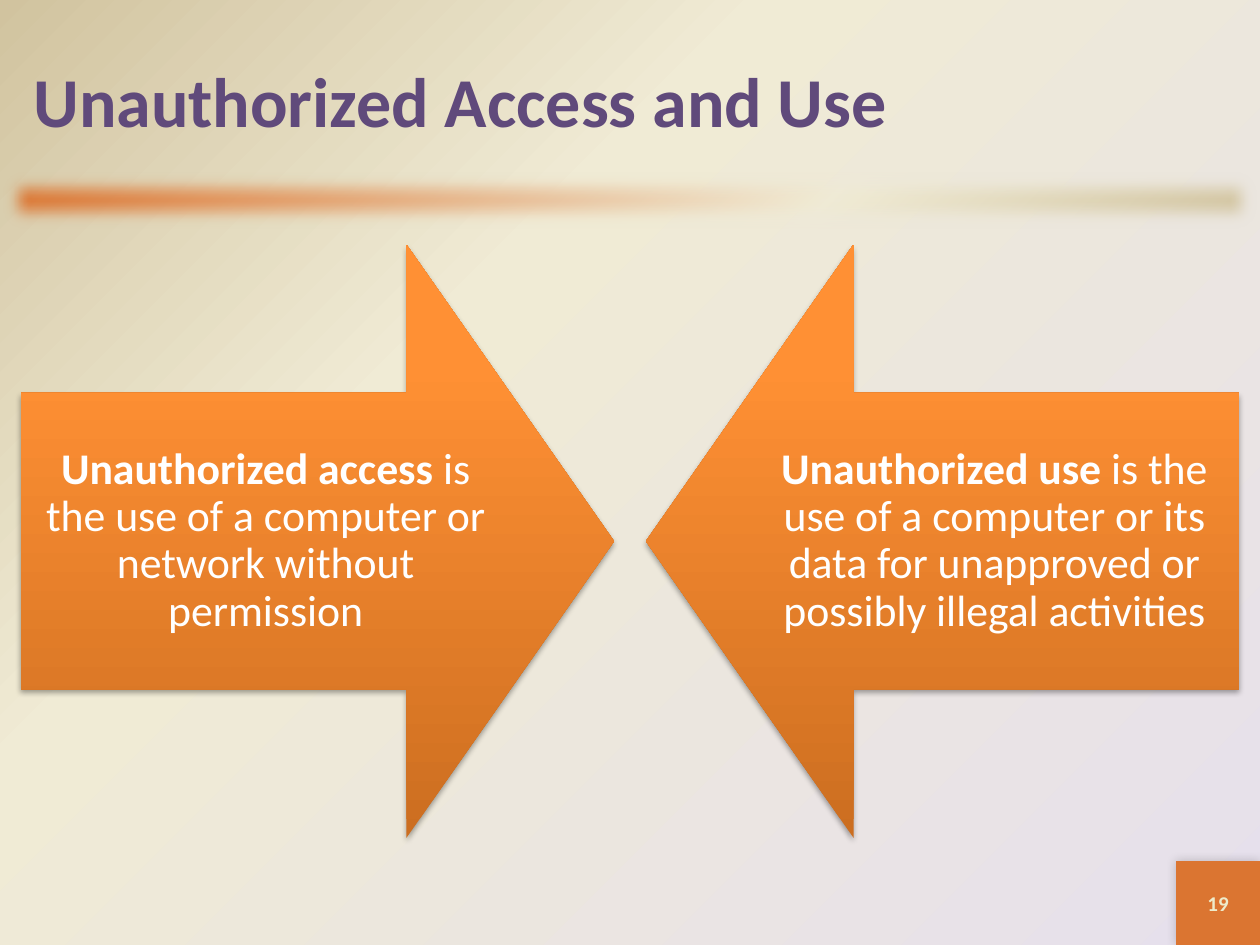
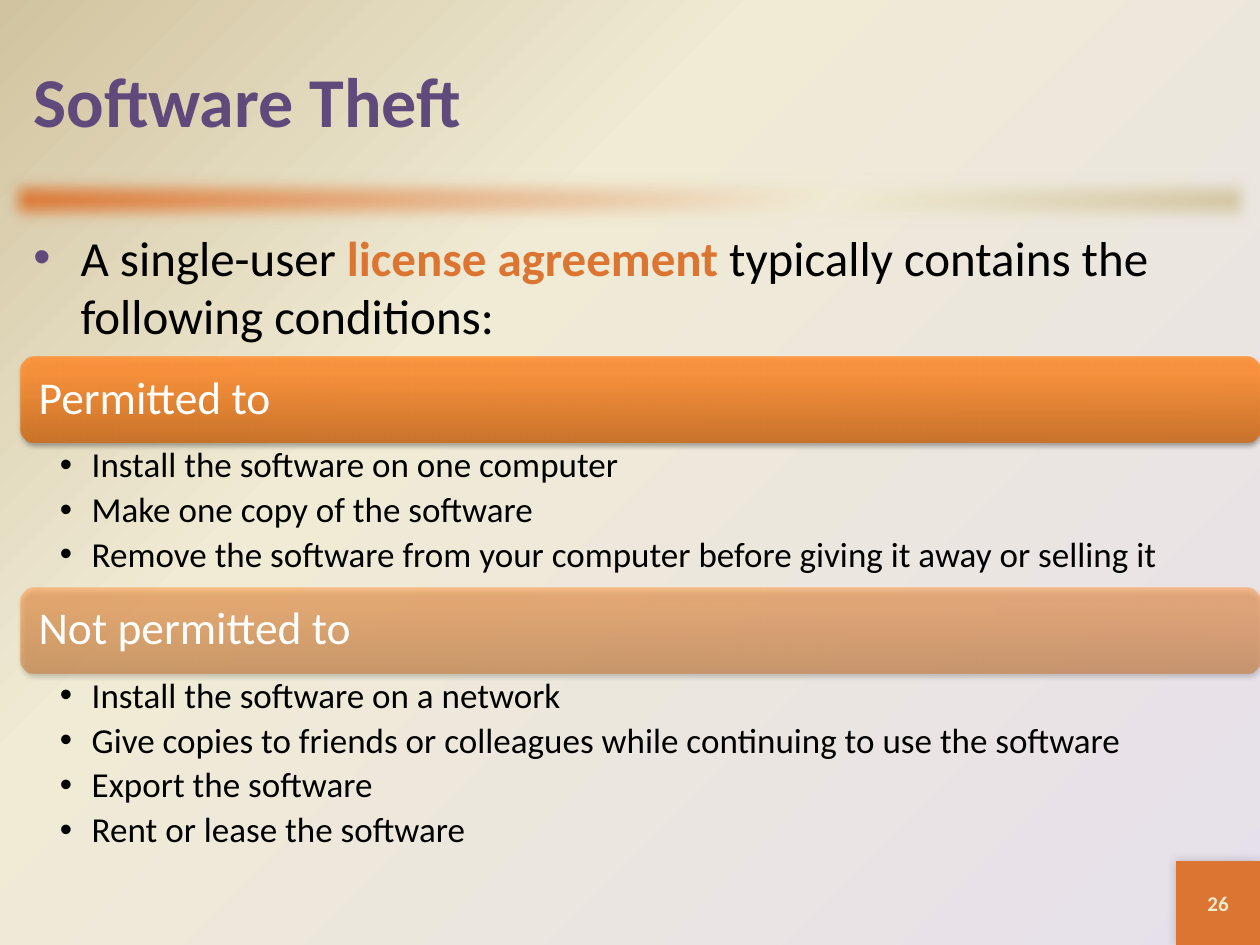
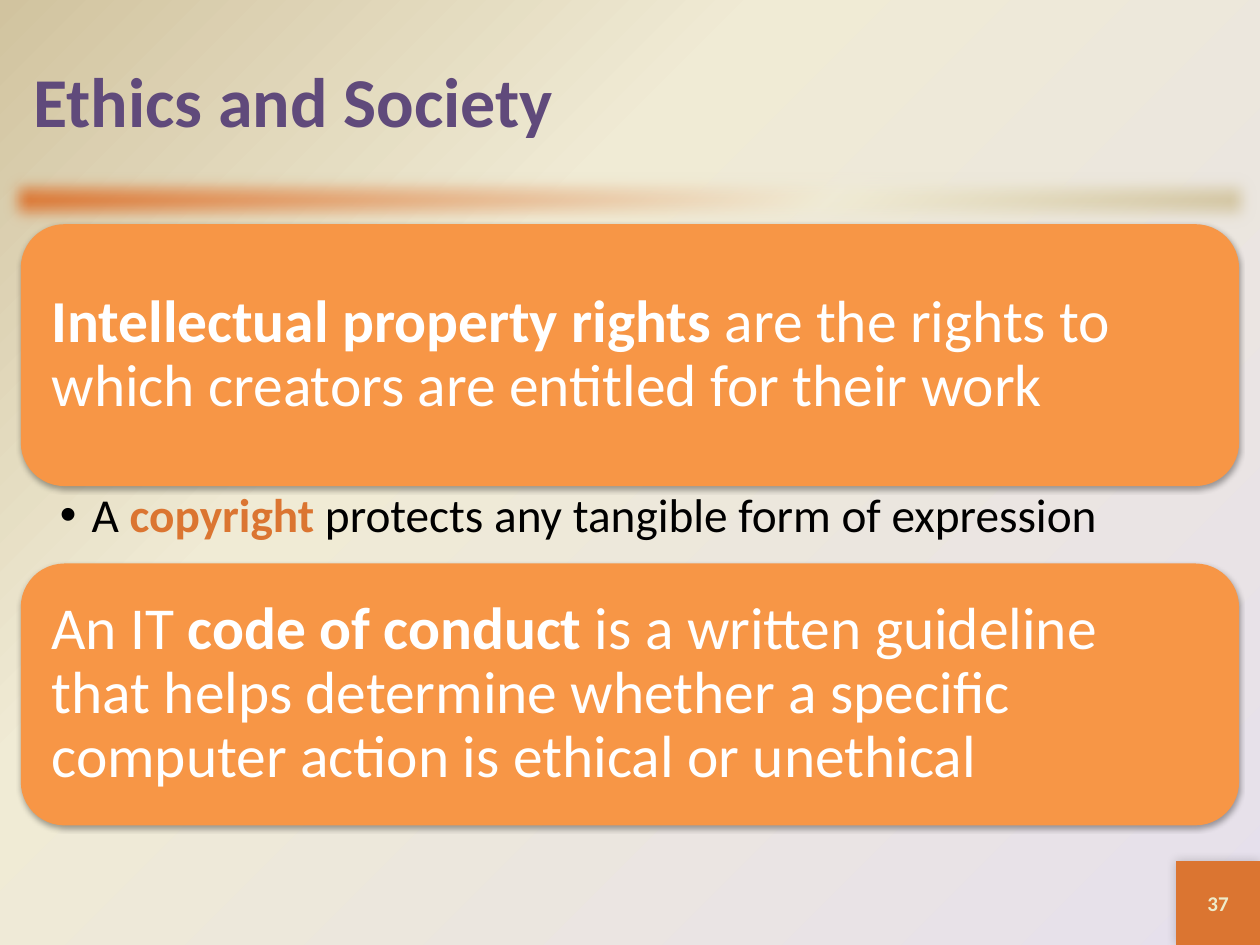
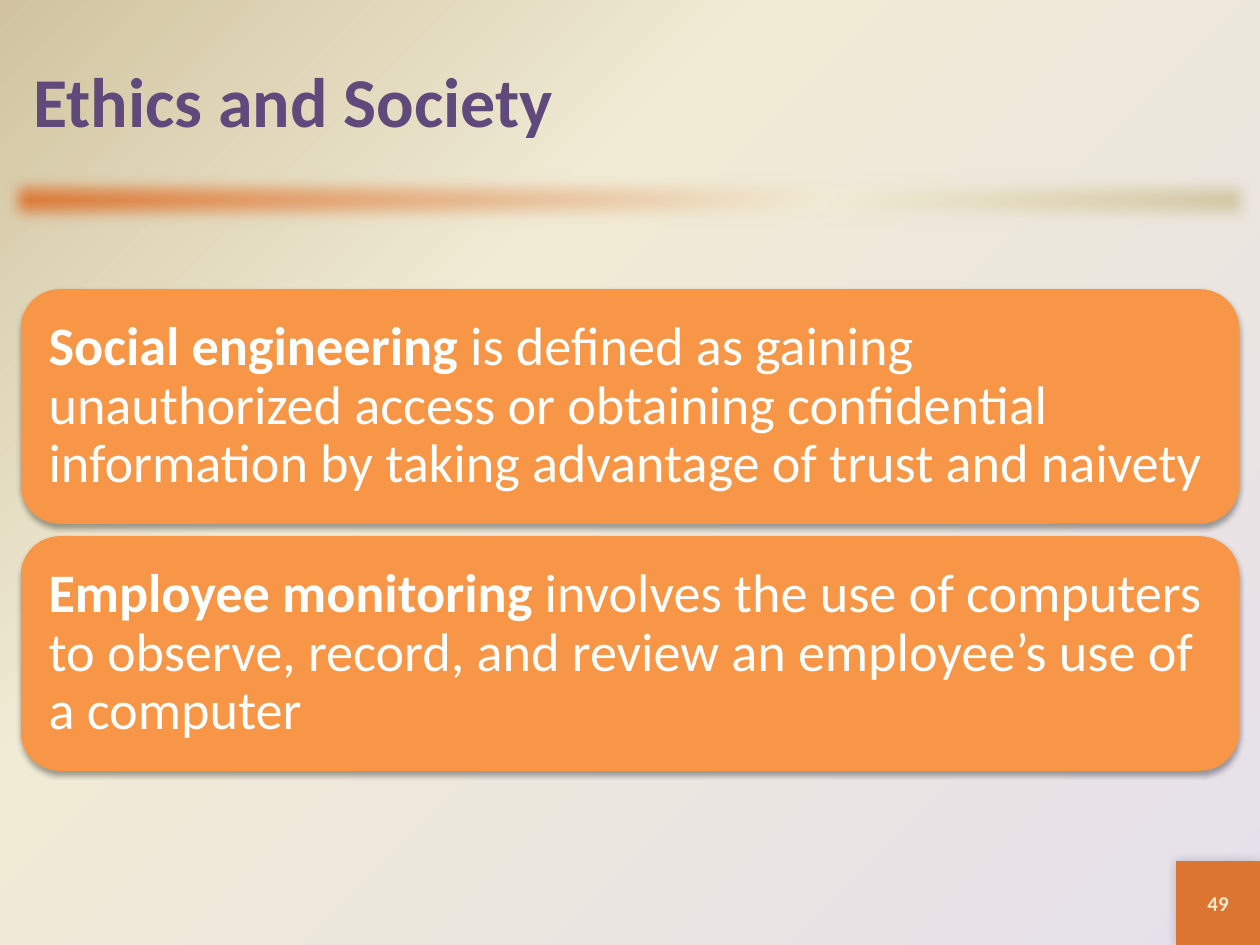
"""Build four slides on computer ethics and security."""
from dataclasses import dataclass
from typing import Any, NamedTuple

from pptx import Presentation
from pptx.dml.color import RGBColor
from pptx.dml.fill import FillFormat
from pptx.enum.shapes import MSO_SHAPE
from pptx.enum.text import MSO_ANCHOR, MSO_AUTO_SIZE, PP_ALIGN
from pptx.oxml import parse_xml
from pptx.oxml.ns import nsdecls, qn
from pptx.shapes.autoshape import Shape
from pptx.slide import Slide
from pptx.text.text import TextFrame, _Paragraph
from pptx.util import Cm, Pt

FONT = "Calibri"
PURPLE = RGBColor(0x60, 0x4A, 0x7B)
RUST = RGBColor(0xDB, 0x75, 0x31)
ORANGE = RGBColor(0xF7, 0x96, 0x46)
DEEP_ORANGE = RGBColor(0xCC, 0x6E, 0x20)
BRIGHT_ORANGE = RGBColor(0xFF, 0x90, 0x34)
TOP_ORANGE = RGBColor(0xFF, 0x91, 0x36)
LILAC = RGBColor(0xE6, 0xE0, 0xEC)
CREAM = RGBColor(0xF0, 0xEB, 0xD5)
SAND = RGBColor(0xD1, 0xC3, 0x9F)
PALE = RGBColor(0xEE, 0xEB, 0xCA)
WHITE = RGBColor(0xFF, 0xFF, 0xFF)
BLACK = RGBColor(0x00, 0x00, 0x00)

SLIDE_WIDTH, SLIDE_HEIGHT = 25.4, 19.05
EDGE = 0.42
CONTENT_WIDTH = SLIDE_WIDTH - 2 * EDGE
BADGE_SIDE = 1.69
BACKDROP_STOPS = ((0, LILAC), (65, CREAM), (100, SAND))
BAND_STOPS = ((0, RUST), (65, CREAM), (100, SAND))
GLOW_STOPS = ((0, DEEP_ORANGE), (80, BRIGHT_ORANGE), (100, TOP_ORANGE))
TO_CORNER = '<a:path path="circle"><a:fillToRect l="100000" t="100000"/></a:path>'
DIAGONAL = '<a:lin ang="2700000" scaled="0"/>'
UPWARD = '<a:lin ang="16200000" scaled="0"/>'


class Box(NamedTuple):
    """Hold a place on the slide in centimetres."""
    left: float
    top: float
    width: float
    height: float

    def lengths(self) -> list[Cm]:
        """Return the four measures as lengths."""
        return [Cm(value) for value in self]

    def inner(self, gap: float) -> "Box":
        """Return the box shrunk by a gap on every side."""
        return Box(self.left + gap, self.top + gap, self.width - 2 * gap, self.height - 2 * gap)


class Run(NamedTuple):
    """Hold a piece of text and whether it is a key term."""
    text: str
    strong: bool = False


Line = tuple[Run, ...]


@dataclass
class Panel:
    """Describe a rounded panel with one statement."""
    box: Box
    line: Line
    size: int
    gap: float
    margin: float
    opacity: int | None = None


@dataclass
class BulletList:
    """Describe the bullets that follow a panel."""
    box: Box
    lines: tuple[Line, ...]
    size: int
    side_margins: tuple[float, float]


@dataclass
class Arrow:
    """Describe a block arrow that points to the slide centre."""
    left: float
    text_left: float
    rotation: int
    line: Line


@dataclass
class Page:
    """Describe one slide."""
    title: str
    number: int
    items: tuple[Panel | BulletList | Arrow, ...]
    lead: Line | None = None


def apply_format(target: Any, values: dict[str, Any]) -> None:
    """Set each named attribute of the target."""
    for name, value in values.items():
        setattr(target, name, value)


def paint_gradient(fill: FillFormat, root: Any, stops: tuple, direction: str, opacity: int = 100) -> None:
    """Give a fill the listed gradient stops."""
    fill.gradient()
    marks = "".join(
        f'<a:gs pos="{place * 1000}"><a:srgbClr val="{color}">'
        f'<a:alpha val="{opacity * 1000}"/></a:srgbClr></a:gs>'
        for place, color in stops
    )
    preset = root.find(".//" + qn("a:gradFill"))
    gradient = parse_xml(
        f'<a:gradFill {nsdecls("a")} rotWithShape="0"><a:gsLst>{marks}</a:gsLst>{direction}</a:gradFill>'
    )
    preset.getparent().replace(preset, gradient)


def add_effect(shape: Shape, tag: str, content: str = "", **values: int) -> None:
    """Add one effect to a shape."""
    settings = " ".join(f'{name}="{value}"' for name, value in values.items())
    effects = shape.element.spPr.find(qn("a:effectLst"))
    effects.append(parse_xml(f'<a:{tag} {nsdecls("a")} {settings}>{content}</a:{tag}>'))


def add_shadow(shape: Shape, opacity: int, blur: float, distance: float, angle: int) -> None:
    """Add a black outer shadow to a shape."""
    tint = f'<a:srgbClr val="000000"><a:alpha val="{opacity * 1000}"/></a:srgbClr>'
    add_effect(shape, "outerShdw", tint, blurRad=Pt(blur), dist=Pt(distance),
               dir=angle * 60000, rotWithShape=0)


def add_plain_shape(slide: Slide, kind: MSO_SHAPE, box: Box) -> Shape:
    """Add a shape without outline or shadow."""
    shape = slide.shapes.add_shape(kind, *box.lengths())
    shape.shadow.inherit = False
    shape.line.fill.background()
    return shape


def write_line(paragraph: _Paragraph, line: Line, size: int, color: RGBColor, strong_color: RGBColor) -> None:
    """Write the runs of a paragraph."""
    for text, strong in line:
        run = paragraph.add_run()
        run.text = text
        apply_format(run.font, {"name": FONT, "size": Pt(size), "bold": strong})
        run.font.color.rgb = strong_color if strong else color


def add_bullet(paragraph: _Paragraph, indent: Cm, color: RGBColor) -> None:
    """Give a paragraph a hanging round bullet."""
    properties = paragraph._p.get_or_add_pPr()
    properties.set("marL", str(indent))
    properties.set("indent", str(-indent))
    for xml in (
        f'<a:buClr {nsdecls("a")}><a:srgbClr val="{color}"/></a:buClr>',
        f'<a:buFont {nsdecls("a")} typeface="Arial"/>',
        f'<a:buChar {nsdecls("a")} char="•"/>',
    ):
        properties.append(parse_xml(xml))


def add_text_frame(slide: Slide, box: Box, margins: tuple, anchor: MSO_ANCHOR) -> TextFrame:
    """Add a wrapping text box with left, top, right and bottom margins."""
    frame = slide.shapes.add_textbox(*box.lengths()).text_frame
    apply_format(frame, {"word_wrap": True, "auto_size": MSO_AUTO_SIZE.NONE, "vertical_anchor": anchor})
    sides = ("margin_left", "margin_top", "margin_right", "margin_bottom")
    apply_format(frame, dict(zip(sides, map(Cm, margins))))
    return frame


def add_statement(slide: Slide, box: Box, line: Line, size: int, margin: float, align: PP_ALIGN) -> None:
    """Add a white statement centred vertically in its box."""
    frame = add_text_frame(slide, box, (margin,) * 4, MSO_ANCHOR.MIDDLE)
    statement = frame.paragraphs[0]
    apply_format(statement, {"alignment": align, "line_spacing": 0.9})
    write_line(statement, line, size, WHITE, WHITE)


def draw_panel(slide: Slide, panel: Panel) -> None:
    """Draw a rounded panel and its statement."""
    plate = add_plain_shape(slide, MSO_SHAPE.ROUNDED_RECTANGLE, panel.box)
    if panel.opacity is None:
        plate.fill.solid()
        plate.fill.fore_color.rgb = ORANGE
    else:
        paint_gradient(plate.fill, plate.element, GLOW_STOPS, UPWARD, panel.opacity)
    add_shadow(plate, 35, 3.1, 1.8, 90)
    add_statement(slide, panel.box.inner(panel.gap), panel.line, panel.size, panel.margin, PP_ALIGN.LEFT)


def draw_bullets(slide: Slide, bullets: BulletList) -> None:
    """Draw a list of black bullets."""
    left, right = bullets.side_margins
    frame = add_text_frame(slide, bullets.box, (left, 0.11, right, 0.11), MSO_ANCHOR.TOP)
    for index, line in enumerate(bullets.lines):
        entry = frame.add_paragraph() if index else frame.paragraphs[0]
        add_bullet(entry, Cm(0.64), BLACK)
        apply_format(entry, {"level": 1, "line_spacing": 0.9, "space_after": Pt(bullets.size * 0.2)})
        write_line(entry, line, bullets.size, BLACK, RUST)


def draw_arrow(slide: Slide, arrow: Arrow) -> None:
    """Draw a block arrow and its definition."""
    pointer = add_plain_shape(slide, MSO_SHAPE.DOWN_ARROW, Box(arrow.left, 4.93, ARROW_SIDE, ARROW_SIDE))
    pointer.rotation = arrow.rotation
    pointer.adjustments[0] = 0.5
    pointer.adjustments[1] = 0.35
    paint_gradient(pointer.fill, pointer.element, GLOW_STOPS, UPWARD)
    add_shadow(pointer, 35, 3.1, 1.8, 90)
    text_box = Box(arrow.text_left, 7.92, ARROW_TEXT_WIDTH, 5.98)
    add_statement(slide, text_box, arrow.line, 25, 0.49, PP_ALIGN.CENTER)


DRAWERS = {Panel: draw_panel, BulletList: draw_bullets, Arrow: draw_arrow}
ARROW_SIDE = 11.96
ARROW_TEXT_WIDTH = 9.87
BADGE_BOX = Box(SLIDE_WIDTH - BADGE_SIDE, SLIDE_HEIGHT - BADGE_SIDE, BADGE_SIDE, BADGE_SIDE)


def condition_heading(top: float, text: str, opacity: int) -> Panel:
    """Return the heading bar of a group of licence conditions."""
    return Panel(Box(EDGE, top, SLIDE_WIDTH - EDGE, 1.73), (Run(text),), 26, 0.08, 0.28, opacity)


def condition_list(top: float, height: float, *texts: str) -> BulletList:
    """Return the bullets of a group of licence conditions."""
    lines = tuple((Run(text),) for text in texts)
    return BulletList(Box(EDGE, top, SLIDE_WIDTH - EDGE, height), lines, 20, (0.79, 0.5))


def rights_panel(top: float, *line: Run) -> Panel:
    """Return a tall panel on rights and conduct."""
    return Panel(Box(EDGE, top, CONTENT_WIDTH, 5.28), line, 34, 0.26, 0.36)


def workplace_panel(top: float, *line: Run) -> Panel:
    """Return a panel on trust and monitoring."""
    return Panel(Box(EDGE, top, CONTENT_WIDTH, 4.73), line, 31, 0.23, 0.33)


PAGES = (
    Page("Unauthorized Access and Use", 19, (
        Arrow(EDGE, EDGE, 270, (
            Run("Unauthorized access", True),
            Run(" is the use of a computer or network without permission"))),
        Arrow(SLIDE_WIDTH - EDGE - ARROW_SIDE, SLIDE_WIDTH - EDGE - ARROW_TEXT_WIDTH, 90, (
            Run("Unauthorized use", True),
            Run(" is the use of a computer or its data for unapproved or possibly illegal activities"))),
    )),
    Page("Software Theft", 26, (
        condition_heading(7.19, "Permitted to", 90),
        condition_list(
            8.91, 2.93,
            "Install the software on one computer",
            "Make one copy of the software",
            "Remove the software from your computer before giving it away or selling it"),
        condition_heading(11.84, "Not permitted to", 50),
        condition_list(
            13.56, 3.81,
            "Install the software on a network",
            "Give copies to friends or colleagues while continuing to use the software",
            "Export the software",
            "Rent or lease the software"),
    ), lead=(
        Run("A single-user "),
        Run("license agreement ", True),
        Run("typically contains the following conditions:"))),
    Page("Ethics and Society", 37, (
        rights_panel(
            4.52,
            Run("Intellectual property rights ", True),
            Run("are the rights to which creators are entitled for their work")),
        BulletList(Box(EDGE, 9.8, CONTENT_WIDTH, 1.56), ((
            Run("A "),
            Run("copyright", True),
            Run(" protects any tangible form of expression")),), 27, (0.79, 0.66)),
        rights_panel(
            11.36,
            Run("An IT "),
            Run("code of conduct", True),
            Run(" is a written guideline that helps determine whether a specific "
                "computer action is ethical or unethical")),
    )),
    Page("Ethics and Society", 49, (
        workplace_panel(
            5.83,
            Run("Social engineering", True),
            Run(" is defined as gaining unauthorized access or obtaining confidential "
                "information by taking advantage of trust and naivety")),
        workplace_panel(
            10.81,
            Run("Employee monitoring", True),
            Run(" involves the use of computers to observe, record, and review "
                "an employee’s use of a computer")),
    )),
)


def place_placeholder(placeholder: Any, box: Box, anchor: MSO_ANCHOR) -> _Paragraph:
    """Move a placeholder and return its first paragraph."""
    apply_format(placeholder, dict(zip(Box._fields, box.lengths())))
    apply_format(placeholder.text_frame, {
        "word_wrap": True, "auto_size": MSO_AUTO_SIZE.NONE, "vertical_anchor": anchor})
    first = placeholder.text_frame.paragraphs[0]
    apply_format(first, {"alignment": PP_ALIGN.LEFT, "space_before": Pt(0)})
    return first


def dress_master(deck: Any, drafting_slide: Slide) -> None:
    """Put the backdrop, band and number badge on the slide master."""
    master = deck.slide_master
    paint_gradient(master.background.fill, master.element, BACKDROP_STOPS, TO_CORNER)
    band = add_plain_shape(drafting_slide, MSO_SHAPE.RECTANGLE, Box(0, 3.39, SLIDE_WIDTH, 1.27))
    paint_gradient(band.fill, band.element, BAND_STOPS, DIAGONAL)
    add_effect(band, "softEdge", rad=Pt(10))
    badge = add_plain_shape(drafting_slide, MSO_SHAPE.RECTANGLE, BADGE_BOX)
    badge.fill.solid()
    badge.fill.fore_color.rgb = RUST
    add_shadow(badge, 20, 6, 0, 225)
    for offset, decoration in enumerate((band, badge)):
        decoration.element.nvSpPr.cNvPr.set("id", str(100 + offset))
        master.shapes.element.insert(2 + offset, decoration.element)


def fill_slide(slide: Slide, page: Page) -> None:
    """Write the title, content and number of a slide."""
    title = place_placeholder(slide.shapes.title, Box(EDGE, EDGE, CONTENT_WIDTH, 3.18), MSO_ANCHOR.MIDDLE)
    write_line(title, (Run(page.title, True),), 40, PURPLE, PURPLE)
    if page.lead:
        lead = place_placeholder(slide.placeholders[1], Box(EDGE, 4.45, CONTENT_WIDTH, 12.9), MSO_ANCHOR.TOP)
        add_bullet(lead, Cm(0.95), PURPLE)
        write_line(lead, page.lead, 28, BLACK, RUST)
    for item in page.items:
        DRAWERS[type(item)](slide, item)
    number = add_text_frame(slide, BADGE_BOX, (0.25, 0.13, 0.25, 0.13), MSO_ANCHOR.MIDDLE).paragraphs[0]
    number.alignment = PP_ALIGN.CENTER
    write_line(number, (Run(str(page.number), True),), 12, PALE, PALE)


def main() -> None:
    """Build and save the presentation."""
    deck = Presentation()
    apply_format(deck, {"slide_width": Cm(SLIDE_WIDTH), "slide_height": Cm(SLIDE_HEIGHT)})
    list_layout, title_layout = deck.slide_layouts[1], deck.slide_layouts[5]
    slides = [deck.slides.add_slide(list_layout if page.lead else title_layout) for page in PAGES]
    dress_master(deck, slides[0])
    for slide, page in zip(slides, PAGES):
        fill_slide(slide, page)
    deck.save("out.pptx")


if __name__ == "__main__":
    main()
